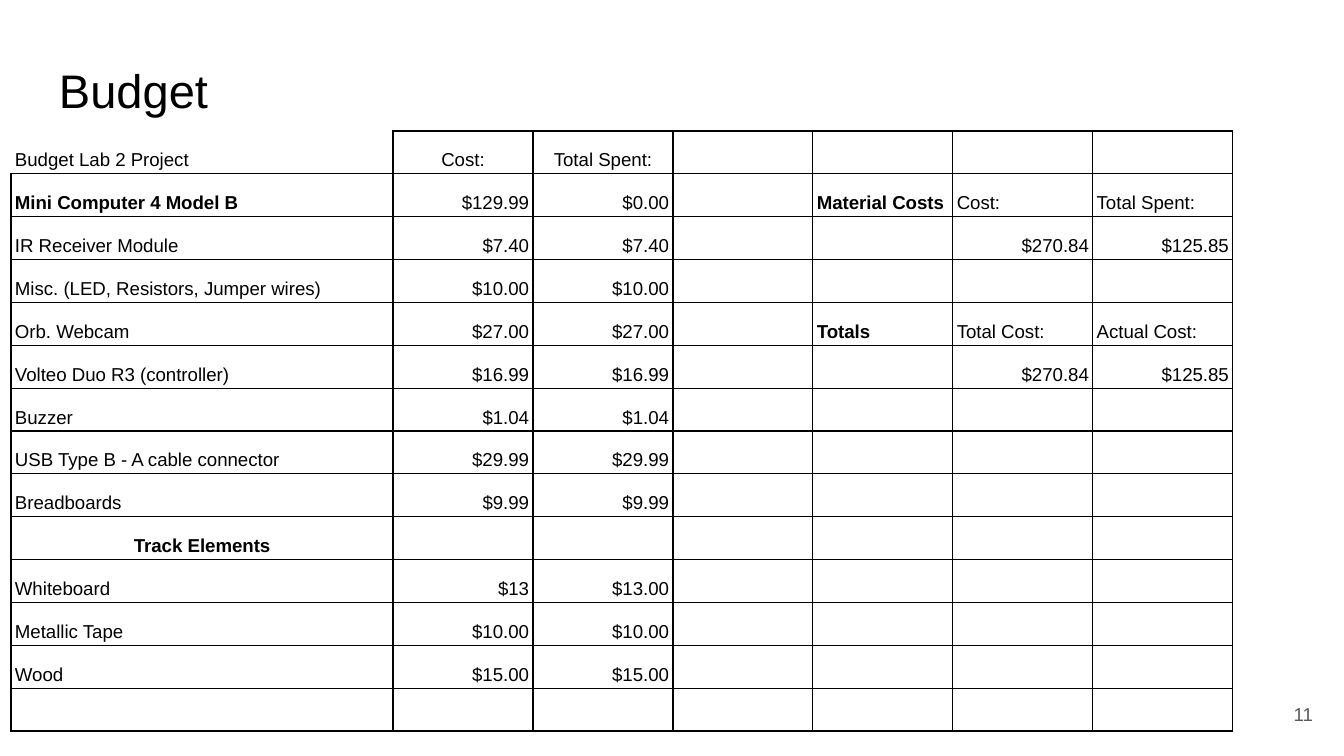
from lxml.etree import SubElement
from pptx import Presentation
from pptx.dml.color import RGBColor
from pptx.enum.text import MSO_ANCHOR, MSO_AUTO_SIZE, PP_ALIGN
from pptx.oxml import parse_xml
from pptx.oxml.ns import nsdecls, qn
from pptx.util import Emu, Pt

PX = 914400 / 134.4
SIDES = "LRTB"
ROW_COUNT, COLUMN_WIDTHS = 14, [382] + [140] * 6
BOLD = {"Mini Computer 4 Model B", "Material Costs", "Totals", "Track Elements"}

ITEMS = [
    ("Budget Lab 2 Project", "Cost:", "Total Spent:"),
    ("Mini Computer 4 Model B", "$129.99", "$0.00"),
    ("IR Receiver Module", "$7.40", "$7.40"),
    ("Misc. (LED, Resistors, Jumper wires)", "$10.00", "$10.00"),
    ("Orb. Webcam", "$27.00", "$27.00"),
    ("Volteo Duo R3 (controller)", "$16.99", "$16.99"),
    ("Buzzer", "$1.04", "$1.04"),
    ("USB Type B - A cable connector", "$29.99", "$29.99"),
    ("Breadboards", "$9.99", "$9.99"),
    ("Track Elements", "", ""),
    ("Whiteboard", "$13", "$13.00"),
    ("Metallic Tape", "$10.00", "$10.00"),
    ("Wood", "$15.00", "$15.00"),
]
SUMMARY = {
    1: ("Material Costs", "Cost:", "Total Spent:"),
    2: ("", "$270.84", "$125.85"),
    4: ("Totals", "Total Cost:", "Actual Cost:"),
    5: ("", "$270.84", "$125.85"),
}


def px(n):
    return Emu(round(n * PX))


def rgb(value):
    return RGBColor.from_string(value)


def cell_align(text, row, col):
    if text.startswith("$"):
        return PP_ALIGN.RIGHT
    if text == "Track Elements" or (row == 0 and col > 0):
        return PP_ALIGN.CENTER
    return PP_ALIGN.LEFT


class BudgetSlide:
    font, ink, muted = "Arial", "000000", "595959"
    body_size, empty_size, title_size = 10, 14, 25.2

    def __init__(self, prs):
        self.s = prs.slides.add_slide(prs.slide_layouts[5])

    def run(self, p, text, size, color, bold=False):
        r = p.add_run()
        r.text = text
        r.font.name, r.font.size, r.font.bold = self.font, Pt(size), bold
        r.font.color.rgb = rgb(color)

    def frame(self, sp, box, anchor, align):
        """Place a text shape and return its first paragraph."""
        sp.left, sp.top, sp.width, sp.height = map(px, box)
        tf = sp.text_frame
        tf.word_wrap, tf.auto_size = True, MSO_AUTO_SIZE.NONE
        tf.vertical_anchor = anchor
        tf.margin_left = tf.margin_right = px(13)
        tf.margin_top = tf.margin_bottom = px(13)
        p = tf.paragraphs[0]
        p.alignment = align
        return p

    def title(self, text, box):
        p = self.frame(self.s.shapes.title, box, MSO_ANCHOR.BOTTOM, PP_ALIGN.LEFT)
        self.run(p, text, self.title_size, self.ink)

    def page_number(self, text, box):
        sp = self.s.shapes.add_textbox(*map(px, box))
        p = self.frame(sp, box, MSO_ANCHOR.MIDDLE, PP_ALIGN.RIGHT)
        self.run(p, text, self.body_size, self.muted)

    def borders(self, cell, sides):
        tc_pr = cell._tc.get_or_add_tcPr()
        for i, side in enumerate(sides):
            tc_pr.insert(i, parse_xml(
                f'<a:ln{side} {nsdecls("a")} w="9525"><a:solidFill>'
                f'<a:srgbClr val="{self.ink}"/></a:solidFill></a:ln{side}>'))

    def fill_cell(self, cell, text, align):
        p = cell.text_frame.paragraphs[0]
        if not text:
            end = SubElement(p._p, qn("a:endParaRPr"))
            end.set("sz", str(self.empty_size * 100))
            SubElement(end, qn("a:latin")).set("typeface", self.font)
            return
        cell.vertical_anchor = MSO_ANCHOR.BOTTOM
        cell.margin_left = cell.margin_right = px(4)
        cell.margin_top = cell.margin_bottom = px(3)
        p.alignment, p.line_spacing = align, 1.15
        self.run(p, text, self.body_size, self.ink, text in BOLD)

    def table(self, texts, left, top, row_height):
        """Draw the grid; rows grow to fit the text of their empty cells."""
        table = self.s.shapes.add_table(
            ROW_COUNT, len(COLUMN_WIDTHS), px(left), px(top),
            px(sum(COLUMN_WIDTHS)), px(ROW_COUNT * row_height)).table
        table.first_row = table.horz_banding = False
        for column, width in zip(table.columns, COLUMN_WIDTHS):
            column.width = px(width)
        for i, row in enumerate(table.rows):
            row.height = px(row_height)
            for j, cell in enumerate(row.cells):
                text = texts.get((i, j), "")
                cell.fill.background()
                self.borders(cell, "RB" if i == j == 0 else SIDES)
                self.fill_cell(cell, text, cell_align(text, i, j))


def main():
    prs = Presentation()
    prs.slide_width, prs.slide_height = px(1344), px(756)
    texts = {(i, j): t for i, row in enumerate(ITEMS) for j, t in enumerate(row)}
    texts.update({(i, j): t for i, row in SUMMARY.items()
                  for j, t in enumerate(row, start=4)})
    slide = BudgetSlide(prs)
    slide.title("Budget", (46, 47, 1252, 84))
    slide.page_number("11", (1245, 685, 81, 58))
    slide.table(texts, left=11, top=131, row_height=30)
    prs.save("out.pptx")


if __name__ == "__main__":
    main()
